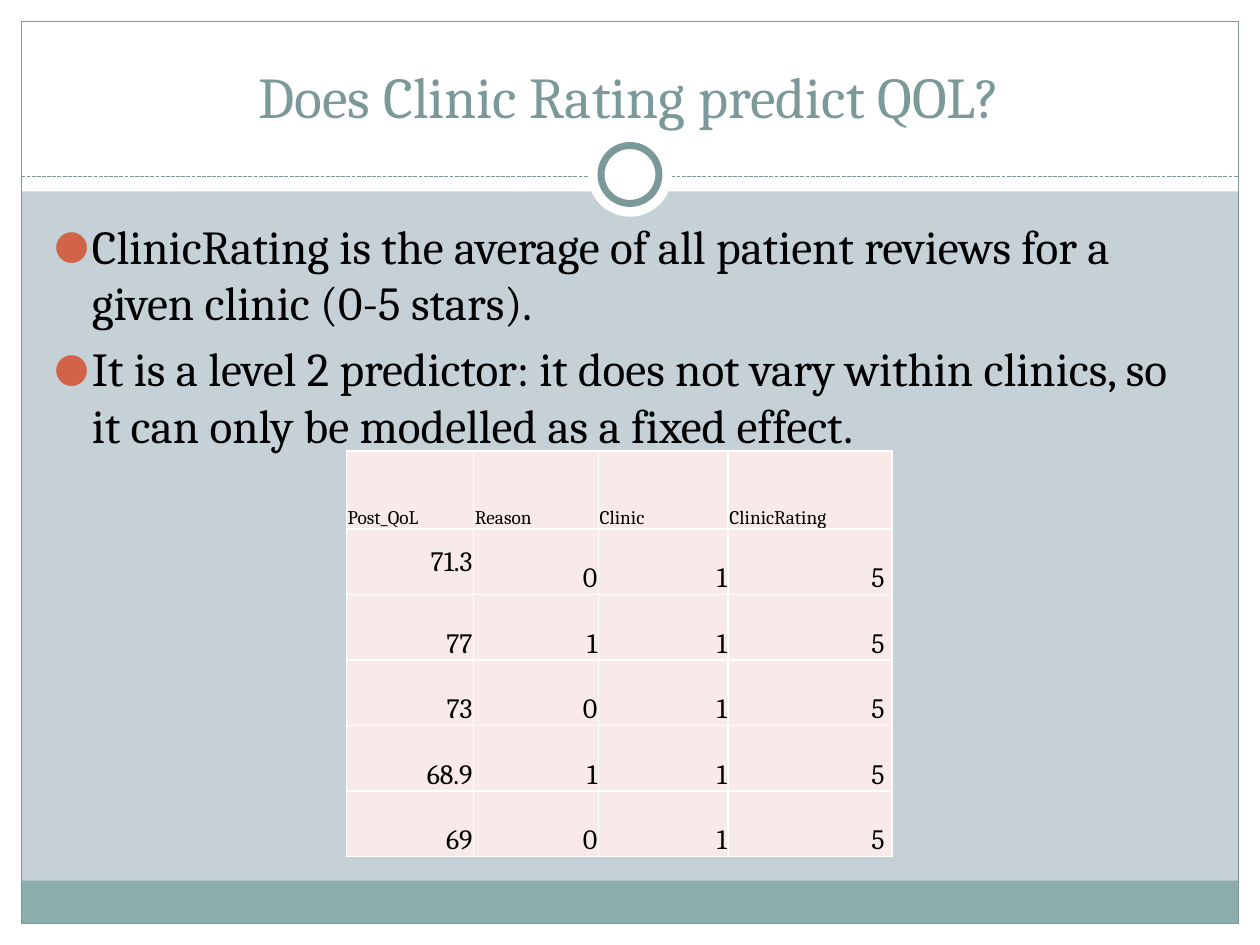
"""Build the slide on clinic rating as a level 2 predictor of quality of life."""
from dataclasses import dataclass
from typing import Optional

from lxml.etree import SubElement
from pptx import Presentation
from pptx.dml.color import RGBColor
from pptx.enum.dml import MSO_LINE_DASH_STYLE as Dash
from pptx.enum.shapes import MSO_CONNECTOR as Connector, MSO_SHAPE as Preset
from pptx.enum.text import MSO_ANCHOR as Anchor, MSO_AUTO_SIZE as AutoSize, PP_ALIGN as Align
from pptx.oxml import parse_xml
from pptx.oxml.ns import nsdecls, qn
from pptx.util import Inches, Pt

WIDTH, HEIGHT = 10, 7.5
EDGE = 0.17
RULE_Y = 1.4
BADGE_Y = 1.385
FONT = "Cambria"
COLORS = {
    "background": "C5D1D7",
    "white": "FFFFFF",
    "teal": "7C999A",
    "band": "8CADAE",
    "bullet": "D16349",
    "text": "000000",
    "cell": "F7EAE9",
}
TITLE = "Does Clinic Rating predict QOL?"
POINTS = [
    "ClinicRating is the average of all patient reviews for a given clinic (0-5 stars).",
    "It is a level 2 predictor: it does not vary within clinics, so it can only be modelled as a fixed effect.",
]
RATINGS = [
    ("Post_QoL", "Reason", "Clinic", "ClinicRating"),
    ("71.3", "0", "1", "5"),
    ("77", "1", "1", "5"),
    ("73", "0", "1", "5"),
    ("68.9", "1", "1", "5"),
    ("69", "0", "1", "5"),
]
COLUMN_WIDTHS = [1.01, 0.99, 1.03, 1.3]
ROW_HEIGHTS = [0.62] + [0.52] * 5


@dataclass
class Panel:
    """A preset shape of the slide's frame, in inches."""

    left: float
    top: float
    width: float
    height: float
    fill: Optional[str] = None
    line: Optional[str] = None
    weight: float = 0.75
    preset: Preset = Preset.RECTANGLE


def circle(size: float, **style) -> Panel:
    """Return a circle centred on the badge."""
    return Panel((WIDTH - size) / 2, BADGE_Y - size / 2, size, size, preset=Preset.OVAL, **style)


INNER_WIDTH = WIDTH - 2 * EDGE
FRAME = [
    Panel(0, HEIGHT - EDGE, WIDTH, EDGE, "white"),
    Panel(0, 0, WIDTH, 1.52, "white"),
    Panel(0, 0, EDGE, HEIGHT, "white"),
    Panel(WIDTH - EDGE, 0, EDGE, HEIGHT, "white"),
    Panel(EDGE, 6.99, INNER_WIDTH, 0.34, "band"),
    Panel(EDGE, EDGE, INNER_WIDTH, HEIGHT - 2 * EDGE, line="teal"),
]
BADGE = [circle(0.67, fill="white"), circle(0.46, fill="white", line="teal", weight=4)]


def rgb(name: str) -> RGBColor:
    """Look up a colour by its role."""
    return RGBColor.from_string(COLORS[name])


def apply(target, **values) -> None:
    """Set several attributes on one object."""
    for name, value in values.items():
        setattr(target, name, value)


def draw_panel(slide, panel: Panel) -> None:
    """Draw one frame shape."""
    box = map(Inches, (panel.left, panel.top, panel.width, panel.height))
    shape = slide.shapes.add_shape(panel.preset, *box)
    shape.shadow.inherit = False
    if panel.fill:
        shape.fill.solid()
        shape.fill.fore_color.rgb = rgb(panel.fill)
    else:
        shape.fill.background()
    if panel.line:
        shape.line.color.rgb = rgb(panel.line)
        shape.line.width = Pt(panel.weight)
    else:
        shape.line.fill.background()


def draw_rule(slide) -> None:
    """Draw the dashed rule under the title."""
    ends = map(Inches, (EDGE, RULE_Y, WIDTH - EDGE, RULE_Y))
    rule = slide.shapes.add_connector(Connector.STRAIGHT, *ends)
    rule.line.color.rgb = rgb("teal")
    apply(rule.line, width=Pt(0.75), dash_style=Dash.SQUARE_DOT)
    rule.line.dash_style = Dash.SQUARE_DOT
    SubElement(rule._element.spPr, qn("a:effectLst"))


def write(paragraph, text: str, size: float, color: str, align: Align) -> None:
    """Write one formatted run."""
    paragraph.alignment = align
    run = paragraph.add_run()
    run.text = text
    apply(run.font, name=FONT, size=Pt(size))
    run.font.color.rgb = rgb(color)


def place(slide, holder, box: tuple, anchor: Anchor):
    """Move a placeholder to the front of the frame and return its text frame."""
    apply(holder, **dict(zip(("left", "top", "width", "height"), map(Inches, box))))
    apply(holder.text_frame, vertical_anchor=anchor, auto_size=AutoSize.NONE, word_wrap=True)
    slide.shapes._spTree.append(holder._element)
    return holder.text_frame


def add_bullet(paragraph) -> None:
    """Give a paragraph a hanging round bullet."""
    paragraph.space_before = Pt(5.4)
    properties = paragraph._p.get_or_add_pPr()
    properties.set("marL", str(Inches(0.3)))
    properties.set("indent", str(-Inches(0.3)))
    SubElement(SubElement(properties, qn("a:buClr")), qn("a:srgbClr"), val=COLORS["bullet"])
    SubElement(properties, qn("a:buSzPct"), val="85000")
    SubElement(properties, qn("a:buFont"), typeface=FONT)
    SubElement(properties, qn("a:buChar"), char="●")


def add_borders(cell) -> None:
    """Draw thin white borders round a cell."""
    properties = cell._tc.get_or_add_tcPr()
    for index, side in enumerate(("lnL", "lnR", "lnT", "lnB")):
        properties.insert(index, parse_xml(
            f'<a:{side} {nsdecls("a")} w="{Pt(1)}"><a:solidFill>'
            f'<a:srgbClr val="{COLORS["white"]}"/></a:solidFill></a:{side}>'))


def draw_ratings(slide) -> None:
    """Draw the table of patient rows."""
    box = map(Inches, (2.75, 3.58, sum(COLUMN_WIDTHS), sum(ROW_HEIGHTS)))
    table = slide.shapes.add_table(len(RATINGS), len(COLUMN_WIDTHS), *box).table
    apply(table, first_row=False, horz_banding=False)
    for column, width in zip(table.columns, COLUMN_WIDTHS):
        column.width = Inches(width)
    for r, (height, values) in enumerate(zip(ROW_HEIGHTS, RATINGS)):
        table.rows[r].height = Inches(height)
        for c, value in enumerate(values):
            cell = table.cell(r, c)
            is_rating = r > 0 and c == len(values) - 1
            apply(cell, margin_left=Inches(0.01), margin_top=Inches(0.01), margin_bottom=0,
                  margin_right=Inches(0.06 if is_rating else 0.01),
                  vertical_anchor=Anchor.MIDDLE if (r, c) == (1, 0) else Anchor.BOTTOM)
            cell.fill.solid()
            cell.fill.fore_color.rgb = rgb("cell")
            add_borders(cell)
            write(cell.text_frame.paragraphs[0], value, 16 if r else 11, "text",
                  Align.RIGHT if r else Align.LEFT)


def main() -> None:
    """Build and save the slide."""
    deck = Presentation()
    apply(deck, slide_width=Inches(WIDTH), slide_height=Inches(HEIGHT))
    slide = deck.slides.add_slide(deck.slide_layouts[1])
    slide.background.fill.solid()
    slide.background.fill.fore_color.rgb = rgb("background")
    for panel in FRAME:
        draw_panel(slide, panel)
    draw_rule(slide)
    for panel in BADGE:
        draw_panel(slide, panel)
    heading = place(slide, slide.shapes.title, (0.33, 0.25, 9.33, 0.83), Anchor.BOTTOM)
    write(heading.paragraphs[0], TITLE, 33, "teal", Align.CENTER)
    body = place(slide, slide.placeholders[1], (0.33, 1.67, 9.3, 5), Anchor.TOP)
    for index, point in enumerate(POINTS):
        paragraph = body.add_paragraph() if index else body.paragraphs[0]
        write(paragraph, point, 27, "text", Align.LEFT)
        add_bullet(paragraph)
    draw_ratings(slide)
    deck.save("out.pptx")


if __name__ == "__main__":
    main()
